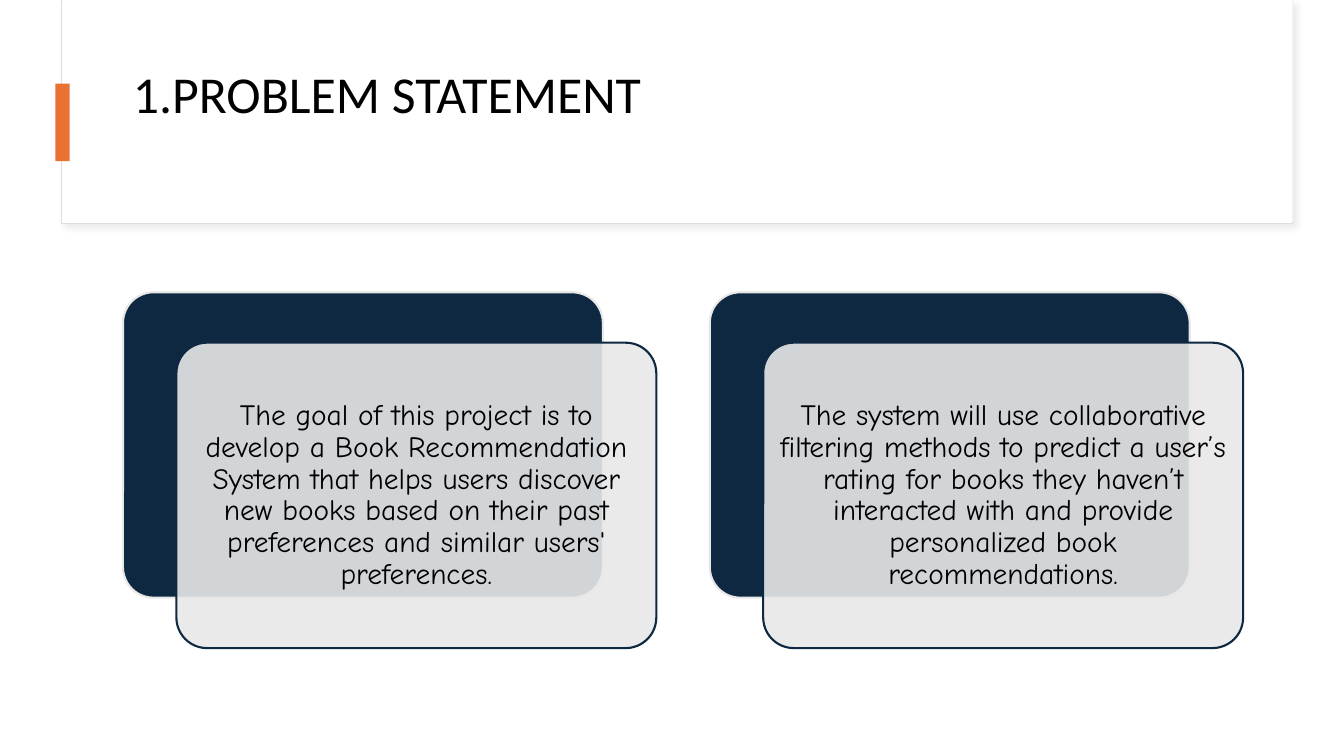
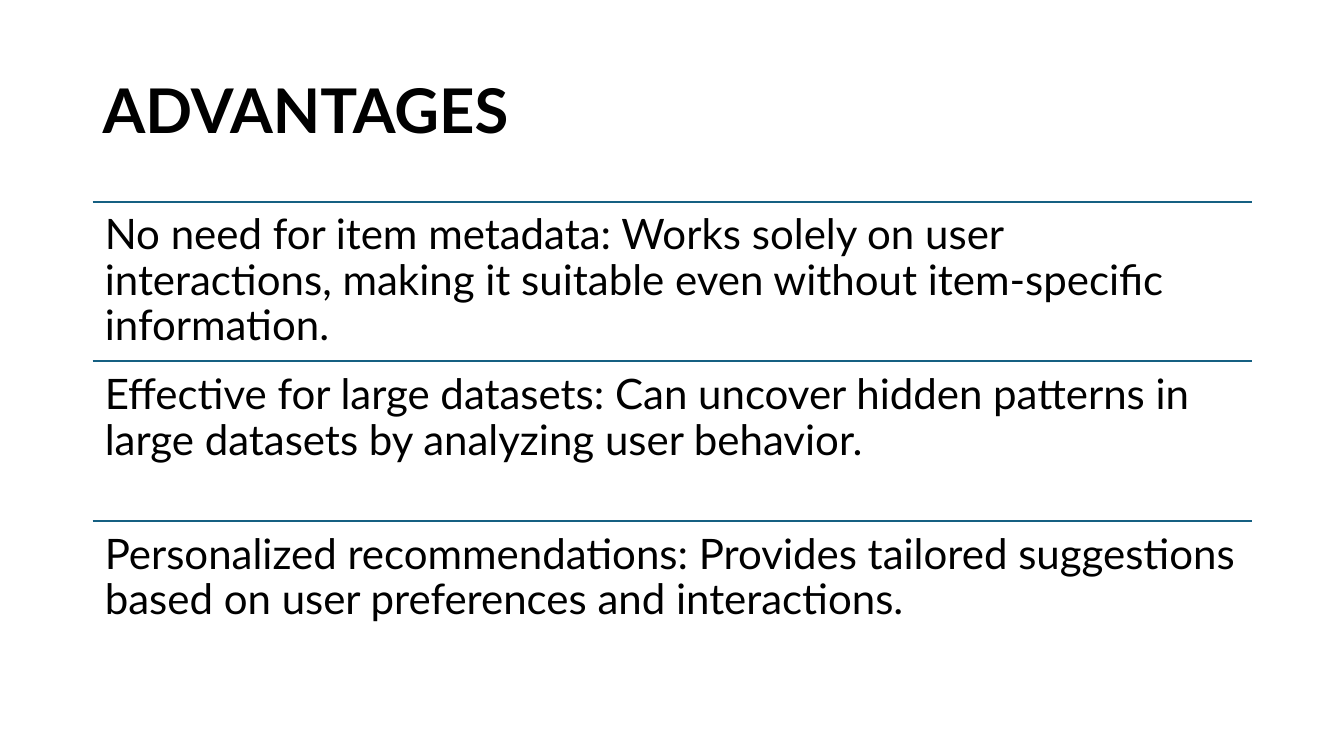
"""Builds two slides: a problem statement with two cards and a ruled list of advantages."""

from dataclasses import dataclass

import lxml.etree
import pptx
import pptx.dml.color
import pptx.enum.shapes
import pptx.enum.text
import pptx.oxml.ns
import pptx.util

Inches = pptx.util.Inches
Pt = pptx.util.Pt
Anchor = pptx.enum.text.MSO_ANCHOR
Align = pptx.enum.text.PP_ALIGN
Preset = pptx.enum.shapes.MSO_SHAPE

COLOURS = {
    "text": "000000",
    "paper": "FFFFFF",
    "navy": "0E2841",
    "grey": "E8E8E8",
    "accent": "E97132",
    "rule": "156082",
    "frame": "DEDEDE",
    "shadow": "D9D9D9",
}
LINE_SPACING = 0.9


@dataclass(frozen=True)
class Box:
    left: float
    top: float
    width: float
    height: float

    def lengths(self) -> tuple[int, ...]:
        return tuple(Inches(value) for value in (self.left, self.top, self.width, self.height))

    def shifted(self, right: float, down: float) -> "Box":
        return Box(self.left + right, self.top + down, self.width, self.height)


@dataclass(frozen=True)
class TextStyle:
    font: str
    size: float
    bold: bool = False
    align: Align = Align.LEFT
    anchor: Anchor = Anchor.MIDDLE
    inset_x: float = 0.1
    inset_y: float = 0.05


STATEMENT_TITLE = TextStyle("Calibri", 37, anchor=Anchor.TOP, inset_y=0.08)
ADVANTAGES_TITLE = TextStyle("Lato", 44, bold=True)
CARD_TEXT = TextStyle("Comic Neue", 21, align=Align.CENTER, inset_x=0.08, inset_y=0.09)
ROW_TEXT = TextStyle("Lato", 30, anchor=Anchor.TOP, inset_x=0.12, inset_y=0.12)

FIRST_CARD = Box(1.22, 2.9, 4.76, 3.03)
CARD_PITCH = 5.82
CARD_OFFSET = (0.53, 0.5)
CARDS = (
    "The goal of this project is to develop a Book Recommendation System that helps users "
    "discover new books based on their past preferences and similar users' preferences.",
    "The system will use collaborative filtering methods to predict a user’s rating for books "
    "they haven’t interacted with and provide personalized book recommendations.",
)

FIRST_ROW = Box(0.92, 2, 11.5, 1.58)
ROW_PITCH = 1.585
ADVANTAGES = (
    "No need for item metadata: Works solely on user interactions, making it suitable even "
    "without item-specific information.",
    "Effective for large datasets: Can uncover hidden patterns in large datasets by analyzing "
    "user behavior.",
    "Personalized recommendations: Provides tailored suggestions based on user preferences "
    "and interactions.",
)


def colour(name: str) -> pptx.dml.color.RGBColor:
    return pptx.dml.color.RGBColor.from_string(COLOURS[name])


def add_child(parent: lxml.etree._Element, tag: str, **attributes: str) -> lxml.etree._Element:
    return lxml.etree.SubElement(parent, pptx.oxml.ns.qn(tag), attributes)


def write_text(shape: pptx.shapes.autoshape.Shape, text: str, style: TextStyle) -> None:
    frame = shape.text_frame
    frame.word_wrap = True
    frame.vertical_anchor = style.anchor
    frame.margin_left = frame.margin_right = Inches(style.inset_x)
    frame.margin_top = frame.margin_bottom = Inches(style.inset_y)
    paragraph = frame.paragraphs[0]
    paragraph.text = text
    paragraph.alignment = style.align
    paragraph.line_spacing = LINE_SPACING
    paragraph.font.name = style.font
    paragraph.font.size = Pt(style.size)
    paragraph.font.bold = style.bold
    paragraph.font.color.rgb = colour("text")


def add_text(slide: pptx.slide.Slide, box: Box, text: str, style: TextStyle) -> None:
    write_text(slide.shapes.add_textbox(*box.lengths()), text, style)


def add_panel(
    slide: pptx.slide.Slide,
    box: Box,
    fill: str,
    line: str | None = None,
    line_width: float = 1.5,
    preset: Preset = Preset.RECTANGLE,
) -> pptx.shapes.autoshape.Shape:
    shape = slide.shapes.add_shape(preset, *box.lengths())
    shape.shadow.inherit = False
    shape.fill.solid()
    shape.fill.fore_color.rgb = colour(fill)
    if line:
        shape.line.color.rgb = colour(line)
        shape.line.width = Pt(line_width)
    else:
        shape.line.fill.background()
    if preset == Preset.ROUNDED_RECTANGLE:
        shape.adjustments[0] = 0.1
    return shape


def set_opacity(shape: pptx.shapes.autoshape.Shape, percent: int) -> None:
    fill = shape._element.spPr.find(pptx.oxml.ns.qn("a:solidFill"))
    add_child(fill[0], "a:alpha", val=str(percent * 1000))


def add_soft_shadow(shape: pptx.shapes.autoshape.Shape) -> None:
    effects = shape._element.spPr.find(pptx.oxml.ns.qn("a:effectLst"))
    shadow = add_child(
        effects, "a:outerShdw", blurRad=str(Pt(4)), dist=str(Pt(3)), dir=str(45 * 60000)
    )
    tint = add_child(shadow, "a:srgbClr", val=COLOURS["shadow"])
    add_child(tint, "a:alpha", val="50000")


def add_rule(slide: pptx.slide.Slide, box: Box) -> None:
    left, top, width, _ = box.lengths()
    rule = slide.shapes.add_connector(
        pptx.enum.shapes.MSO_CONNECTOR.STRAIGHT, left, top, left + width, top
    )
    rule.line.color.rgb = colour("rule")
    rule.line.width = Pt(1.5)
    add_child(rule._element.spPr, "a:effectLst")


def add_card(slide: pptx.slide.Slide, box: Box, text: str) -> None:
    rounded = Preset.ROUNDED_RECTANGLE
    add_panel(slide, box, "navy", "grey", preset=rounded)
    front = add_panel(slide, box.shifted(*CARD_OFFSET), "grey", "navy", preset=rounded)
    set_opacity(front, 90)
    write_text(front, text, CARD_TEXT)


def build_statement(slide: pptx.slide.Slide) -> None:
    add_soft_shadow(add_panel(slide, Box(0.61, 0.01, 12.21, 2.21), "paper", "frame", 0.75))
    add_panel(slide, Box(0.62, 0, 12.2, 2.2), "paper")
    add_text(slide, Box(1.22, 0.6, 11.12, 1.29), "1.PROBLEM STATEMENT", STATEMENT_TITLE)
    add_panel(slide, Box(0.55, 0.83, 0.14, 0.77), "accent")
    for index, text in enumerate(CARDS):
        add_card(slide, FIRST_CARD.shifted(index * CARD_PITCH, 0), text)


def build_advantages(slide: pptx.slide.Slide) -> None:
    add_text(slide, Box(0.92, 0.4, 11.5, 1.45), "ADVANTAGES", ADVANTAGES_TITLE)
    for index, text in enumerate(ADVANTAGES):
        row = FIRST_ROW.shifted(0, index * ROW_PITCH)
        add_rule(slide, row)
        add_text(slide, row, text, ROW_TEXT)


def main() -> None:
    presentation = pptx.Presentation()
    presentation.slide_width = Inches(13.33)
    presentation.slide_height = Inches(7.5)
    blank = presentation.slide_layouts[6]
    for build in (build_statement, build_advantages):
        build(presentation.slides.add_slide(blank))
    presentation.save("out.pptx")


if __name__ == "__main__":
    main()
